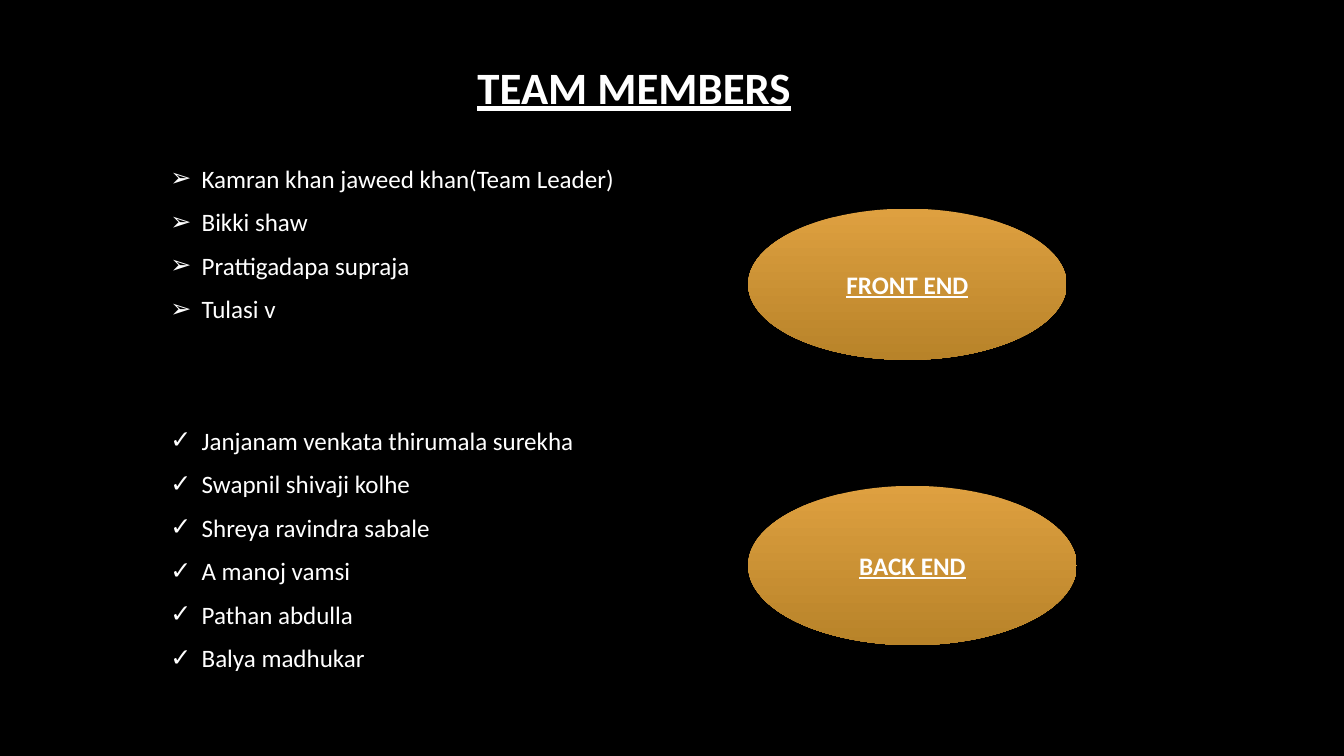
from lxml.etree import SubElement
from pptx import Presentation
from pptx.dml.color import RGBColor
from pptx.enum.shapes import MSO_SHAPE as Shape
from pptx.enum.text import MSO_ANCHOR as Anchor, MSO_AUTO_SIZE as AutoSize, PP_ALIGN as Align
from pptx.oxml.ns import qn
from pptx.util import Inches, Pt

COLORS = {"background": "000000", "text": "FFFFFF", "gold_top": "DEA040", "gold_bottom": "B88329"}
FRONT_END = ["Kamran khan jaweed khan(Team Leader)", "Bikki shaw", "Prattigadapa supraja", "Tulasi v"]
BACK_END = ["Janjanam venkata thirumala surekha", "Swapnil shivaji kolhe", "Shreya ravindra sabale",
            "A manoj vamsi", "Pathan abdulla", "Balya madhukar"]


def color(name):
    """Return the named colour."""
    return RGBColor.from_string(COLORS[name])


def assign(target, values):
    """Set each attribute in values on target."""
    for key, value in values.items():
        setattr(target, key, value)


class TeamSlide:
    """Holds the text style and the slide being built."""

    heading = {"name": "Calibri", "bold": True, "underline": True}
    member = {"name": "Calibri", "size": Pt(17.9), "bold": False}
    spacing = {"alignment": Align.JUSTIFY, "line_spacing": 1.0, "space_before": Pt(0), "space_after": Pt(9.6)}

    def __init__(self, deck):
        """Add a slide with a plain background."""
        self.slide = deck.slides.add_slide(deck.slide_layouts[1])
        self.slide.background.fill.solid()
        self.slide.background.fill.fore_color.rgb = color("background")

    def place(self, part, box):
        """Move a part to left, top, width, height in inches."""
        assign(part, dict(zip(("left", "top", "width", "height"), map(Inches, box))))

    def style(self, paragraph, font, layout):
        """Format a paragraph and its text."""
        assign(paragraph, layout)
        assign(paragraph.font, font)
        paragraph.font.color.rgb = color("text")

    def label(self, part, text, size):
        """Write a centred, underlined heading in a part."""
        frame = part.text_frame
        frame.text = text
        assign(frame, {"word_wrap": True, "vertical_anchor": Anchor.MIDDLE, "auto_size": AutoSize.NONE})
        self.style(frame.paragraphs[0], {**self.heading, "size": Pt(size)}, {"alignment": Align.CENTER})

    def title(self, text, box):
        """Fill the title placeholder."""
        self.place(self.slide.shapes.title, box)
        self.label(self.slide.shapes.title, text, 32)

    def bullet(self, paragraph, mark):
        """Give a paragraph a hanging bullet."""
        properties = paragraph._p.get_or_add_pPr()
        properties.set("marL", str(Inches(0.31)))
        properties.set("indent", str(Inches(-0.31)))
        tint = SubElement(properties, qn("a:buClr"))
        SubElement(tint, qn("a:srgbClr"), val=COLORS["text"])
        SubElement(properties, qn("a:buFont"), typeface="Calibri")
        SubElement(properties, qn("a:buChar"), char=mark)

    def members(self, groups, box):
        """Fill the body placeholder with bulleted groups."""
        body = self.slide.placeholders[1]
        self.place(body, box)
        frame = body.text_frame
        assign(frame, {"auto_size": AutoSize.NONE, "vertical_anchor": Anchor.TOP, "margin_top": Inches(0.11)})
        frame.text = "\n".join(name for _, names in groups for name in names)
        paragraphs = iter(frame.paragraphs)
        for group, (mark, names) in enumerate(groups):
            for row, _ in enumerate(names):
                paragraph = next(paragraphs)
                gap = Pt(62.9) if group and not row else Pt(0)
                self.style(paragraph, self.member, {**self.spacing, "space_before": gap})
                self.bullet(paragraph, mark)

    def role(self, text, box):
        """Add a gold ellipse naming a role."""
        ellipse = self.slide.shapes.add_shape(Shape.OVAL, *map(Inches, box))
        ellipse.shadow.inherit = False
        ellipse.line.fill.background()
        ellipse.fill.gradient()
        ellipse.fill.gradient_angle = 270
        for stop, name in zip(ellipse.fill.gradient_stops, ("gold_top", "gold_bottom")):
            stop.color.rgb = color(name)
        self.label(ellipse, text, 18)


def main():
    """Build and save the team slide."""
    deck = Presentation()
    assign(deck, {"slide_width": Inches(13.33), "slide_height": Inches(7.5)})
    team = TeamSlide(deck)
    team.title("TEAM MEMBERS", (0.75, 0, 11.08, 1.71))
    team.members([("➢", FRONT_END), ("✓", BACK_END)], (1.59, 1.51, 9.97, 5.55))
    team.role("FRONT END", (7.42, 2.07, 3.16, 1.5))
    team.role("BACK END", (7.42, 4.82, 3.26, 1.58))
    deck.save("out.pptx")


if __name__ == "__main__":
    main()
